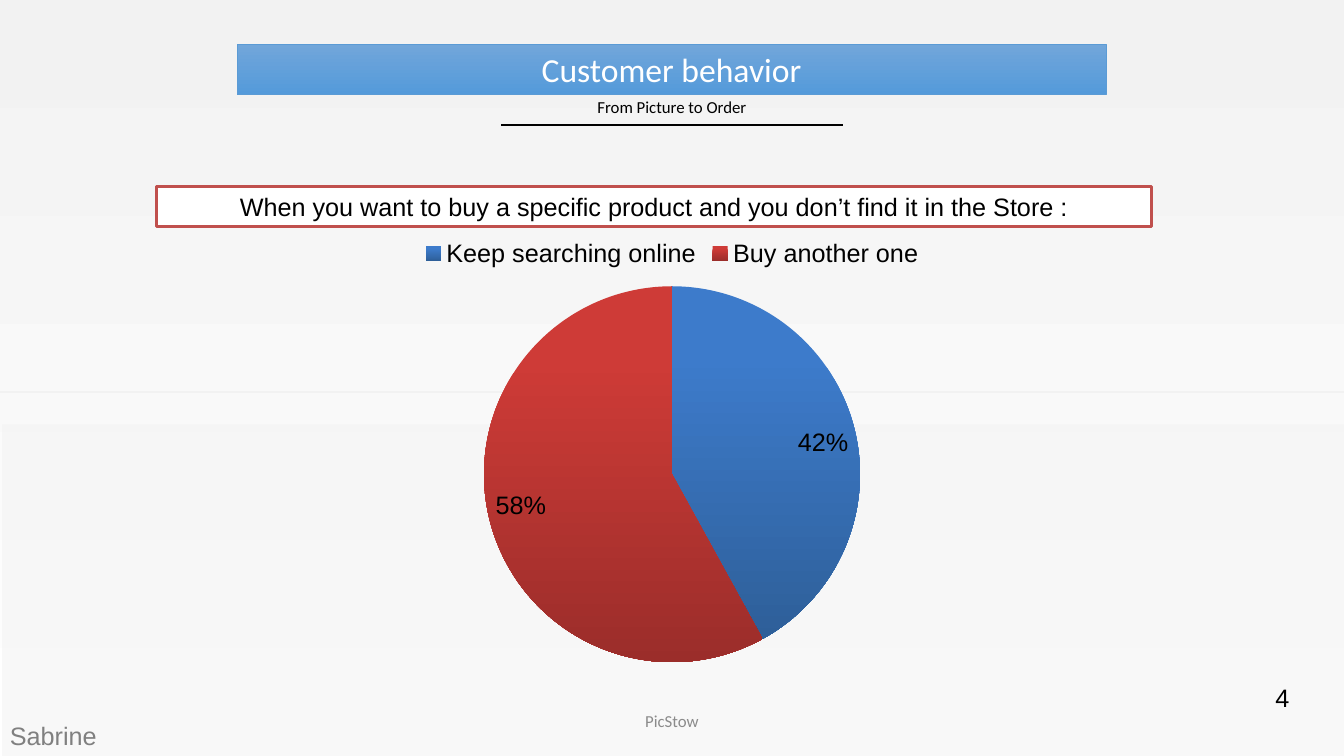
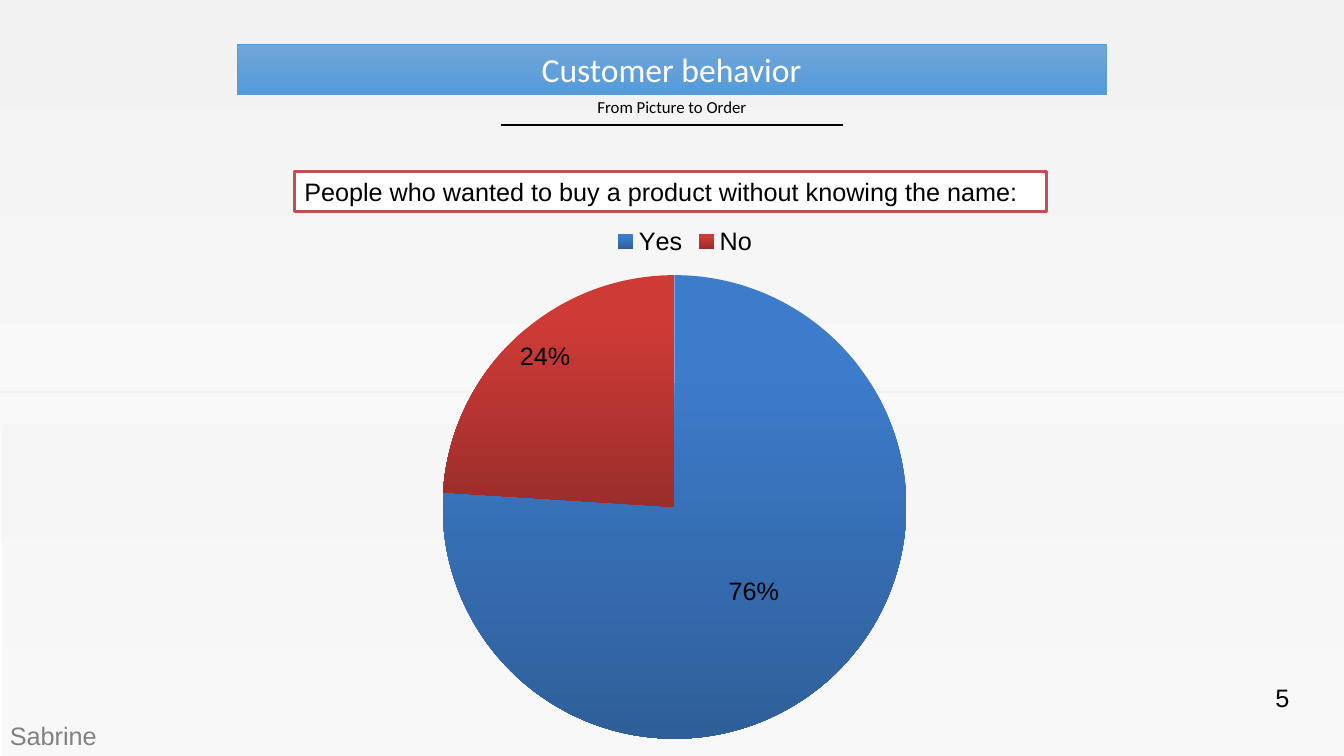
from lxml import etree
from pptx import Presentation
from pptx.chart.data import CategoryChartData
from pptx.dml.color import RGBColor
from pptx.enum import chart as charts, shapes, text
from pptx.oxml import ns, parse_xml
from pptx.util import Inches, Pt

BLACK = RGBColor(0x00, 0x00, 0x00)
WHITE = RGBColor(0xFF, 0xFF, 0xFF)
PALE = RGBColor(0xF2, 0xF2, 0xF2)
GRAY = RGBColor(0x80, 0x80, 0x80)
FOOTER_GRAY = RGBColor(0x8B, 0x8B, 0x8B)
BAND_TOP = RGBColor(0x71, 0xA6, 0xDA)
BAND_BOTTOM = RGBColor(0x54, 0x9A, 0xDA)
BAND_EDGE = RGBColor(0x5B, 0x9B, 0xD5)
QUESTION_EDGE = RGBColor(0xC0, 0x50, 0x4D)
SLICES = [
    (RGBColor(0x3D, 0x7B, 0xCB), RGBColor(0x2E, 0x5F, 0x99)),
    (RGBColor(0xCE, 0x3B, 0x37), RGBColor(0x9B, 0x2D, 0x2A)),
]

WIDTH, HEIGHT = 13.33, 7.5
TITLE = "Customer behavior"
SUBTITLE = "From Picture to Order"
AUTHOR = "Sabrine"
LEFT, CENTER = text.PP_ALIGN.LEFT, text.PP_ALIGN.CENTER
TOP, MIDDLE = text.MSO_ANCHOR.TOP, text.MSO_ANCHOR.MIDDLE

SLIDES = [
    {
        "number": "4",
        "footer": "PicStow",
        "question": "When you want to buy a specific product and you don’t find it in the Store :",
        "question_at": (1.55, 1.85, 9.87, 0.4),
        "align": CENTER,
        "answers": {"Keep searching online": 42, "Buy another one": 58},
        "chart_at": (2.22, 2.25, 8.89, 4.46),
        "pie_at": (4.8, 2.84, 3.73),
        "centered_labels": [],
    },
    {
        "number": "5",
        "footer": None,
        "question": "People who wanted to buy a product without knowing the name:",
        "question_at": (2.92, 1.7, 7.46, 0.4),
        "align": LEFT,
        "answers": {"Yes": 76, "No": 24},
        "chart_at": (2.35, 2.13, 8.89, 5.37),
        "pie_at": (4.39, 2.73, 4.6),
        "centered_labels": [0],
    },
]


def apply(target, values):
    for name, value in values.items():
        setattr(target, name, value)


def fill_gradient(fill, first, last, start=0):
    fill.gradient()
    fill.gradient_angle = 270
    for stop, color, position in zip(fill.gradient_stops, (first, last), (start, 1)):
        stop.color.rgb = color
        stop.position = position


def add_box(page, at, colors, edge=None, edge_width=1):
    box = page.shapes.add_shape(shapes.MSO_SHAPE.RECTANGLE, *map(Inches, at))
    box.shadow.inherit = False
    if len(colors) == 2:
        fill_gradient(box.fill, *colors)
    else:
        box.fill.solid()
        box.fill.fore_color.rgb = colors[0]
    if edge is None:
        box.line.fill.background()
    else:
        box.line.color.rgb = edge
        box.line.width = Pt(edge_width)
    return box


def write(box, words, size, font, color, align=LEFT, anchor=TOP, spacing=None):
    apply(box.text_frame, {"word_wrap": True, "vertical_anchor": anchor})
    para = box.text_frame.paragraphs[0]
    apply(para, {"alignment": align, "line_spacing": spacing})
    span = para.add_run()
    span.text = words
    apply(span.font, {"size": Pt(size), "name": font})
    span.font.color.rgb = color


def add_label(page, at, *style, **layout):
    write(page.shapes.add_textbox(*map(Inches, at)), *style, **layout)


def add_rule(page, left, right, y, color):
    rule = page.shapes.add_connector(
        shapes.MSO_CONNECTOR.STRAIGHT, *map(Inches, (left, y, right, y)))
    rule.line.color.rgb = color
    rule.line.width = Pt(1)
    etree.SubElement(rule.element.spPr, ns.qn("a:effectLst"))


def add_frame(page, number, footer):
    add_box(page, (0, 0, WIDTH, HEIGHT), [PALE, WHITE])
    veil = add_box(page, (0.02, 4.21, WIDTH - 0.02, HEIGHT - 4.21), [PALE])
    color = veil.element.spPr.find(".//" + ns.qn("a:srgbClr"))
    etree.SubElement(color, ns.qn("a:alpha"), val="49000")
    add_rule(page, 0, WIDTH, 3.89, PALE)
    add_rule(page, 4.97, 8.36, 1.24, BLACK)
    add_label(page, (2.35, 0.95, 8.63, 0.27), SUBTITLE, 12, "Calibri", BLACK,
              align=CENTER, spacing=0.8)
    band = add_box(page, (2.35, 0.44, 8.62, 0.5), [BAND_TOP, BAND_BOTTOM], BAND_EDGE, 0.5)
    write(band, TITLE, 24, "Calibri", WHITE, CENTER, MIDDLE)
    if footer:
        add_label(page, (4.98, 6.95, 3.37, 0.4), footer, 12, "Calibri", FOOTER_GRAY,
                  align=CENTER, anchor=MIDDLE)
    add_label(page, (12.55, 6.72, 0.49, 0.4), number, 18, "Arial", BLACK)
    add_label(page, (0, 7.1, 1.55, 0.4), AUTHOR, 18, "Arial", GRAY)


def place_pie(chart, chart_at, pie_at):
    left, top, width, height = chart_at
    x, y, size = pie_at
    parts = {"x": (x - left) / width, "y": (y - top) / height,
             "w": size / width, "h": size / height}
    modes = '<c:layoutTarget val="inner"/><c:xMode val="edge"/><c:yMode val="edge"/>'
    values = "".join(f'<c:{name} val="{value:.4f}"/>' for name, value in parts.items())
    plot_area = chart.element.find(".//" + ns.qn("c:plotArea"))
    for layout in plot_area.findall(ns.qn("c:layout")):
        plot_area.remove(layout)
    plot_area.insert(0, parse_xml(
        f'<c:layout {ns.nsdecls("c")}><c:manualLayout>{modes}{values}'
        '</c:manualLayout></c:layout>'))


def add_pie(page, answers, chart_at, pie_at, centered_labels):
    data = CategoryChartData()
    data.categories = list(answers)
    data.add_series("Series 1", list(answers.values()))
    chart = page.shapes.add_chart(
        charts.XL_CHART_TYPE.PIE, *map(Inches, chart_at), data).chart
    apply(chart, {"has_title": False, "has_legend": True})
    apply(chart.font, {"size": Pt(18), "name": "Arial"})
    chart.font.color.rgb = BLACK
    apply(chart.legend, {"position": charts.XL_LEGEND_POSITION.TOP,
                         "include_in_layout": False})
    plot = chart.plots[0]
    plot.vary_by_categories = True
    series = plot.series[0]
    apply(series.data_labels, {
        "show_percentage": True, "show_value": False,
        "number_format": "0%", "number_format_is_linked": False,
        "position": charts.XL_LABEL_POSITION.INSIDE_END})
    for index, colors in enumerate(SLICES):
        fill_gradient(series.points[index].format.fill, *colors, start=0.2)
    for index in centered_labels:
        series.points[index].data_label.position = charts.XL_LABEL_POSITION.CENTER
    for label in chart.element.iter(ns.qn("c:dLbl")):
        label.find(ns.qn("c:showVal")).set("val", "0")
        label.find(ns.qn("c:showPercent")).set("val", "1")
    place_pie(chart, chart_at, pie_at)


def main():
    deck = Presentation()
    apply(deck, {"slide_width": Inches(WIDTH), "slide_height": Inches(HEIGHT)})
    for content in SLIDES:
        page = deck.slides.add_slide(deck.slide_layouts[6])
        add_frame(page, content["number"], content["footer"])
        question = add_box(page, content["question_at"], [WHITE], QUESTION_EDGE, 2)
        write(question, content["question"], 18, "Arial", BLACK, content["align"])
        add_pie(page, content["answers"], content["chart_at"], content["pie_at"],
                content["centered_labels"])
    deck.save("out.pptx")


if __name__ == "__main__":
    main()
